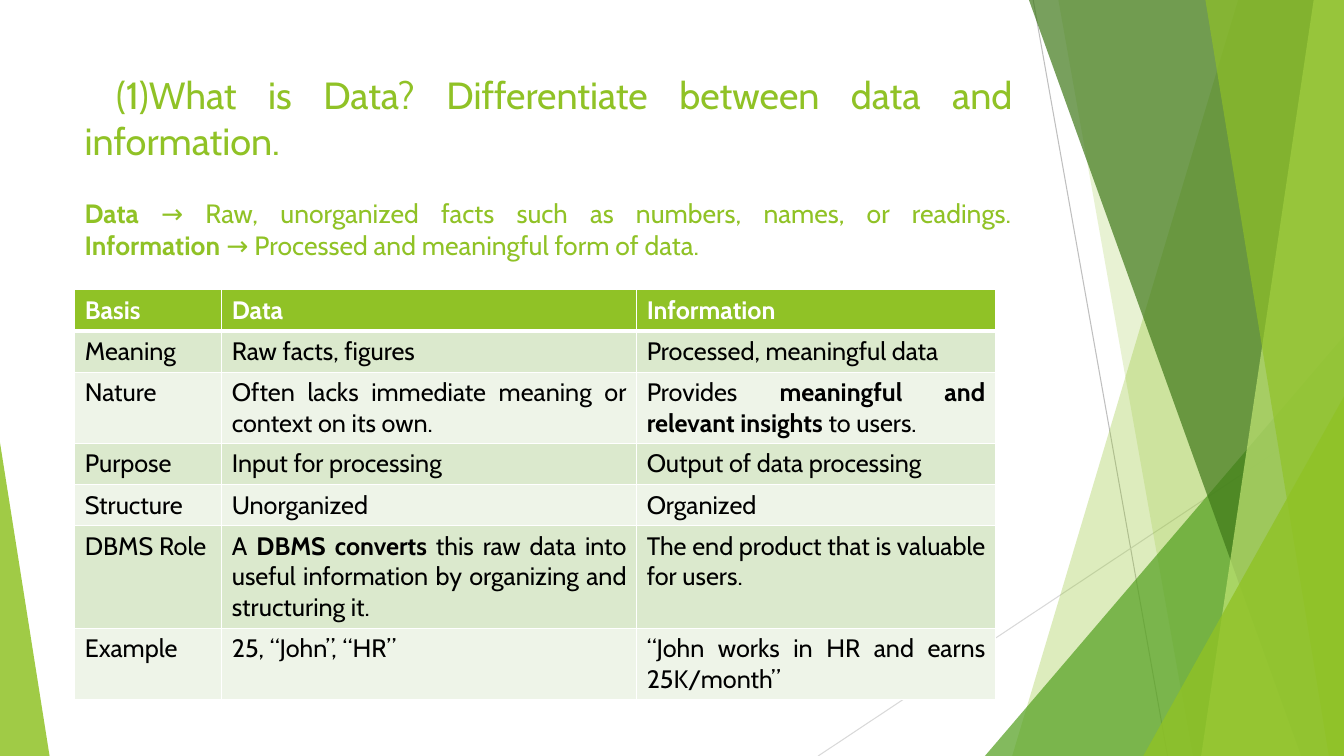
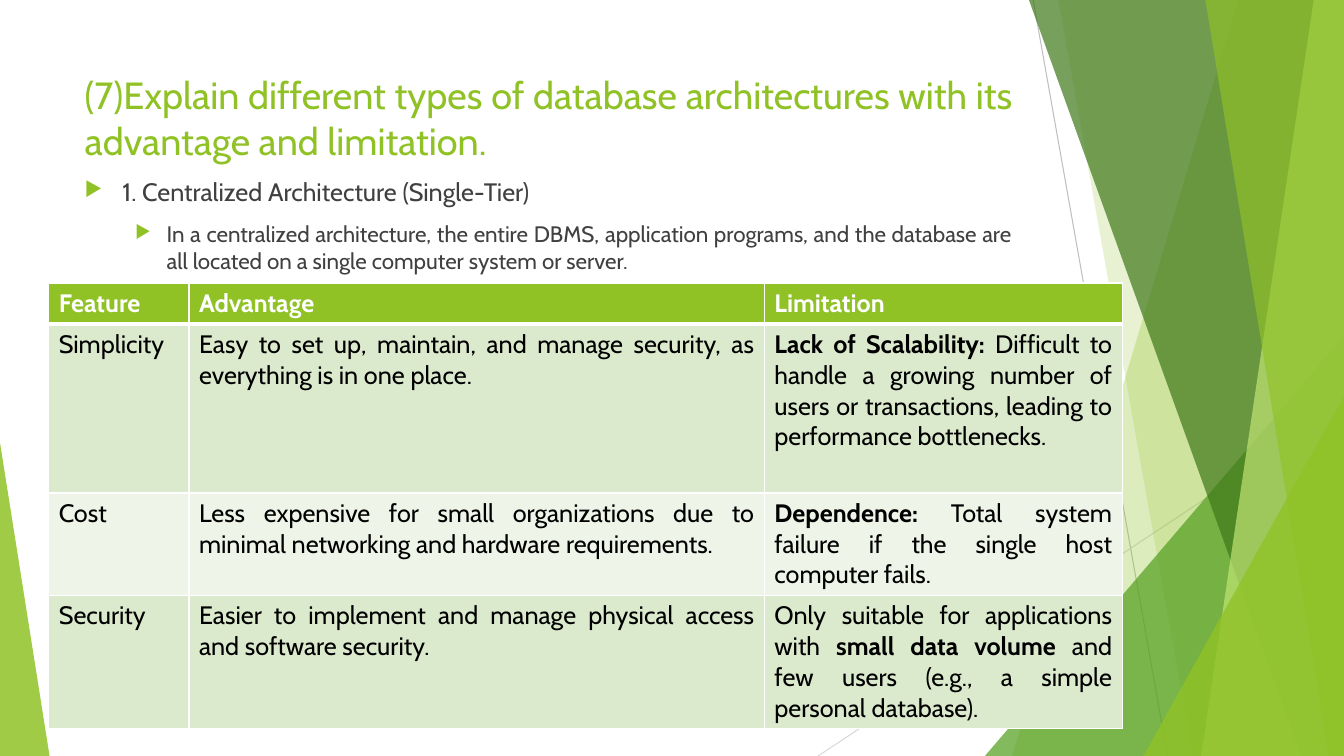
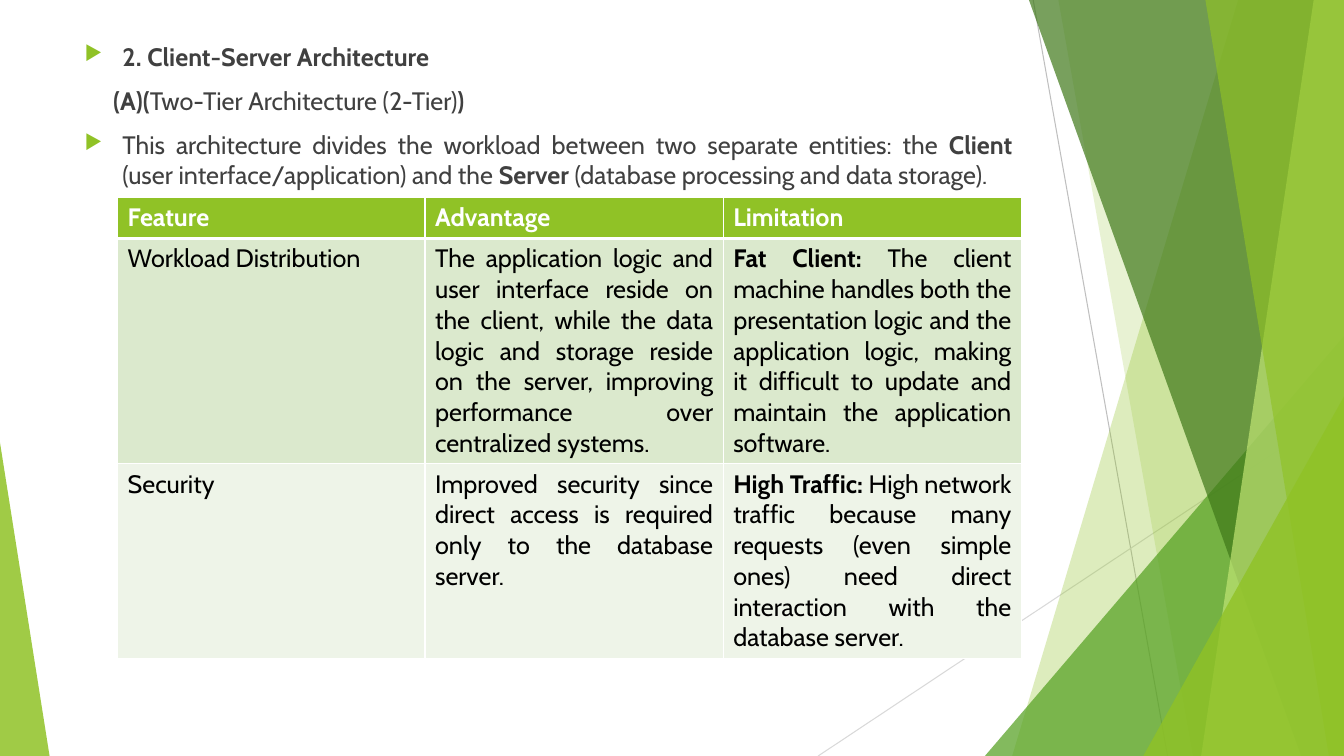
from lxml import etree
from pptx import Presentation
from pptx import util as u
from pptx.dml.color import RGBColor
from pptx.enum import shapes, text
from pptx.oxml.ns import qn

LIME = RGBColor(0x90, 0xC2, 0x26)
LEAF = RGBColor(0x54, 0xA0, 0x21)
PINE = RGBColor(0x3F, 0x78, 0x19)
PALE = RGBColor(0xC0, 0xE4, 0x74)
BAND = RGBColor(0xDB, 0xE9, 0xCD)
MIST = RGBColor(0xEE, 0xF4, 0xE8)
GRAY = RGBColor(0xBF, 0xBF, 0xBF)
SILVER = RGBColor(0xD9, 0xD9, 0xD9)
INK = RGBColor(0x40, 0x40, 0x40)
BLACK = RGBColor(0, 0, 0)
WHITE = RGBColor(255, 255, 255)

FONT = "Cabin"
COLS, ROWS = 160, 90
LEFT, WIDE = 8.9, 112.8
FLUSH = text.PP_ALIGN.JUSTIFY
START = text.PP_ALIGN.LEFT

LOOKS = {
    "title": {"size": 27, "color": LIME},
    "lead": {"size": 18.9, "color": LIME},
    "point": {"size": 18, "color": INK, "inset": 4.5, "hang": 4.5},
    "sub": {"size": 16, "color": INK, "inset": 9.75, "hang": 3.75, "level": 1},
    "plain": {"size": 18, "color": INK, "inset": 3.4},
    "head": {"size": 18, "color": WHITE},
    "cell": {"size": 18, "color": BLACK},
}


def put(item, vals):
    for name, val in vals.items():
        setattr(item, name, val)


def node(parent, tag, **vals):
    return etree.SubElement(parent, qn(tag), vals)


class Deck:
    def __init__(self):
        self.show = Presentation()
        put(self.show, {"slide_width": u.Inches(40 / 3), "slide_height": u.Inches(7.5)})
        self.unit = self.show.slide_width / COLS

    def at(self, *vals):
        return [u.Emu(round(val * self.unit)) for val in vals]

    def page(self):
        self.slide = self.show.slides.add_slide(self.show.slide_layouts[6])
        self.pool = self.slide.shapes
        self.line((123, 0), (139, ROWS), GRAY)
        self.line((COLS, 48.4), (97.4, ROWS), SILVER)
        self.blade(147.4, 120.5, LIME, 30)
        self.blade(126, 142, LIME, 20)
        self.wedge((117.25, 40, 42.75, 50), 1, LEAF, 72)
        self.blade(122.5, 154.9, PINE, 70)
        self.blade(156.4, 143, PALE, 70)
        self.blade(143.5, 158.2, LIME, 65)
        self.wedge((136.1, 47.2, 23.9, 42.8), 1, LIME, 80)
        self.wedge((0, 52.7, 5.9, 37.3), 0, LIME, 85)

    def line(self, head, tail, color):
        line = self.pool.add_connector(
            shapes.MSO_CONNECTOR.STRAIGHT, *self.at(*head, *tail))
        line.line.color.rgb = color
        line.line.width = u.Pt(0.75)
        node(line.element.spPr, "a:effectLst")

    def paint(self, shape, color, alpha):
        shape.shadow.inherit = False
        shape.line.fill.background()
        shape.fill.solid()
        shape.fill.fore_color.rgb = color
        for tint in shape.element.spPr.iter(qn("a:srgbClr")):
            node(tint, "a:alpha", val=str(alpha * 1000))

    def blade(self, top, base, color, alpha):
        form = self.pool.build_freeform(*self.at(top, 0))
        form.add_line_segments(
            [self.at(*spot) for spot in ((COLS, 0), (COLS, ROWS), (base, ROWS))])
        self.paint(form.convert_to_shape(), color, alpha)

    def wedge(self, box, tip, color, alpha):
        shape = self.pool.add_shape(
            shapes.MSO_SHAPE.ISOSCELES_TRIANGLE, *self.at(*box))
        shape.adjustments[0] = tip
        self.paint(shape, color, alpha)

    def mark(self, para, inset=0, hang=0):
        props = para._p.get_or_add_pPr()
        left, back = self.at(inset, -hang)
        props.set("marL", str(left))
        props.set("indent", str(back))
        if hang:
            node(node(props, "a:buClr"), "a:srgbClr", val=str(LIME))
            node(props, "a:buSzPct", val="80000")
            node(props, "a:buChar", char="▶")

    def say(self, para, words, kind, side=FLUSH, bold=False):
        look = LOOKS[kind]
        self.mark(para, look.get("inset", 0), look.get("hang", 0))
        put(para, {"alignment": side, "level": look.get("level", 0)})
        for turn, part in enumerate(words.split("**")):
            for count, piece in enumerate(part.split("\n")):
                if count:
                    para.add_line_break()
                if piece:
                    run = para.add_run()
                    run.text = piece
                    put(run.font, {"name": FONT, "size": u.Pt(look["size"]),
                                   "bold": bold or turn % 2 == 1})
                    run.font.color.rgb = look["color"]

    def body(self, top, high, *lines):
        frame = self.pool.add_textbox(*self.at(LEFT, top, WIDE, high)).text_frame
        frame.word_wrap = True
        for count, (kind, words) in enumerate(lines):
            para = frame.add_paragraph() if count else frame.paragraphs[0]
            self.say(para, words, kind)
            if count:
                para.space_before = u.Pt(10)

    def title(self, words):
        self.body(8, 12, ("title", words))

    def edge(self, cell, row):
        props = cell._tc.get_or_add_tcPr()
        for side in "LRTB":
            thick = (side, row) in (("B", 0), ("T", 1))
            line = node(props, "a:ln" + side, w=str(u.Pt(3 if thick else 1)))
            node(node(line, "a:solidFill"), "a:srgbClr", val=str(WHITE))

    def table(self, left, top, cols, rows, data, side=START):
        grid = self.pool.add_table(
            len(rows), len(cols), *self.at(left, top, sum(cols), sum(rows))).table
        put(grid, {"first_row": False, "horz_banding": False})
        for col, wide in zip(grid.columns, self.at(*cols)):
            col.width = wide
        for row, high in zip(grid.rows, self.at(*rows)):
            row.height = high
        for r, line in enumerate(data):
            for c, words in enumerate(line):
                cell = grid.cell(r, c)
                self.edge(cell, r)
                cell.fill.solid()
                cell.fill.fore_color.rgb = (MIST, BAND)[r % 2] if r else LIME
                self.say(cell.text_frame.paragraphs[0], words,
                         "cell" if r else "head",
                         FLUSH if r and c else side, r == 0)


def main():
    deck = Deck()

    deck.page()
    deck.title(" (1)What is Data? Differentiate between data and information.")
    deck.table(LEFT, 34.5, (17.5, 49.4, 42.7), (4.9, 4.9, 8.5, 4.9, 4.9, 12.2, 8.5), [
        ("Basis", "Data", "Information"),
        ("Meaning", "Raw facts, figures", "Processed, meaningful data"),
        ("Nature", "Often lacks immediate meaning or context on its own.",
         "Provides **meaningful and relevant insights** to users."),
        ("Purpose", "Input for processing", "Output of data processing"),
        ("Structure", "Unorganized", "Organized"),
        ("DBMS Role", "A **DBMS converts** this raw data into useful information "
         "by organizing and structuring it.",
         "The end product that is valuable for users."),
        ("Example", "25, “John”, “HR”", "“John works in HR and earns 25K/month”"),
    ], FLUSH)
    deck.body(22.9, 9.5, (
        "lead", "**Data** → Raw, unorganized facts such as numbers, names, or readings.\n"
        "**Information** → Processed and meaningful form of data."))

    deck.page()
    deck.title("(7)Explain different types of database architectures "
               "with its advantage and limitation.")
    deck.body(
        20.4, 13.4,
        ("point", "1. Centralized Architecture (Single-Tier)"),
        ("sub", "In a centralized architecture, the entire DBMS, application programs, "
         "and the database are all located on a single computer system or server."))
    heads = ("Feature", "Advantage", "Limitation")
    deck.table(5.8, 33.7, (16.7, 68.5, 42.6), (4.9, 20.1, 12.2, 15.8), [
        heads,
        ("Simplicity", "Easy to set up, maintain, and manage security, "
         "as everything is in one place.",
         "**Lack of Scalability:** Difficult to handle a growing number of users "
         "or transactions, leading to performance bottlenecks."),
        ("Cost", "Less expensive for small organizations due to minimal networking "
         "and hardware requirements.",
         "**Dependence:** Total system failure if the single host computer fails."),
        ("Security", "Easier to implement and manage physical access "
         "and software security.",
         "Only suitable for applications with **small data volume** and few users "
         "(e.g., a simple personal database)."),
    ])

    deck.page()
    deck.body(
        4.3, 74.9,
        ("point", "**2. Client-Server Architecture**"),
        ("plain", "**(A)(**Two-Tier Architecture (2-Tier)**)**"),
        ("point", "This architecture divides the workload between two separate entities: "
         "the **Client** (user interface/application) and the **Server** "
         "(database processing and data storage)."))
    deck.table(14, 23.5, (36.6, 35.5, 35.5), (4.9, 26.8, 23.2), [
        heads,
        ("Workload Distribution", "The application logic and user interface reside on "
         "the client, while the data logic and storage reside on the server, "
         "improving performance over centralized systems.",
         "**Fat Client:** The client machine handles both the presentation logic and "
         "the application logic, making it difficult to update and maintain "
         "the application software."),
        ("Security", "Improved security since direct access is required only "
         "to the database server.",
         "**High Traffic:** High network traffic because many requests "
         "(even simple ones) need direct interaction with the database server."),
    ])

    deck.show.save("out.pptx")


if __name__ == "__main__":
    main()
